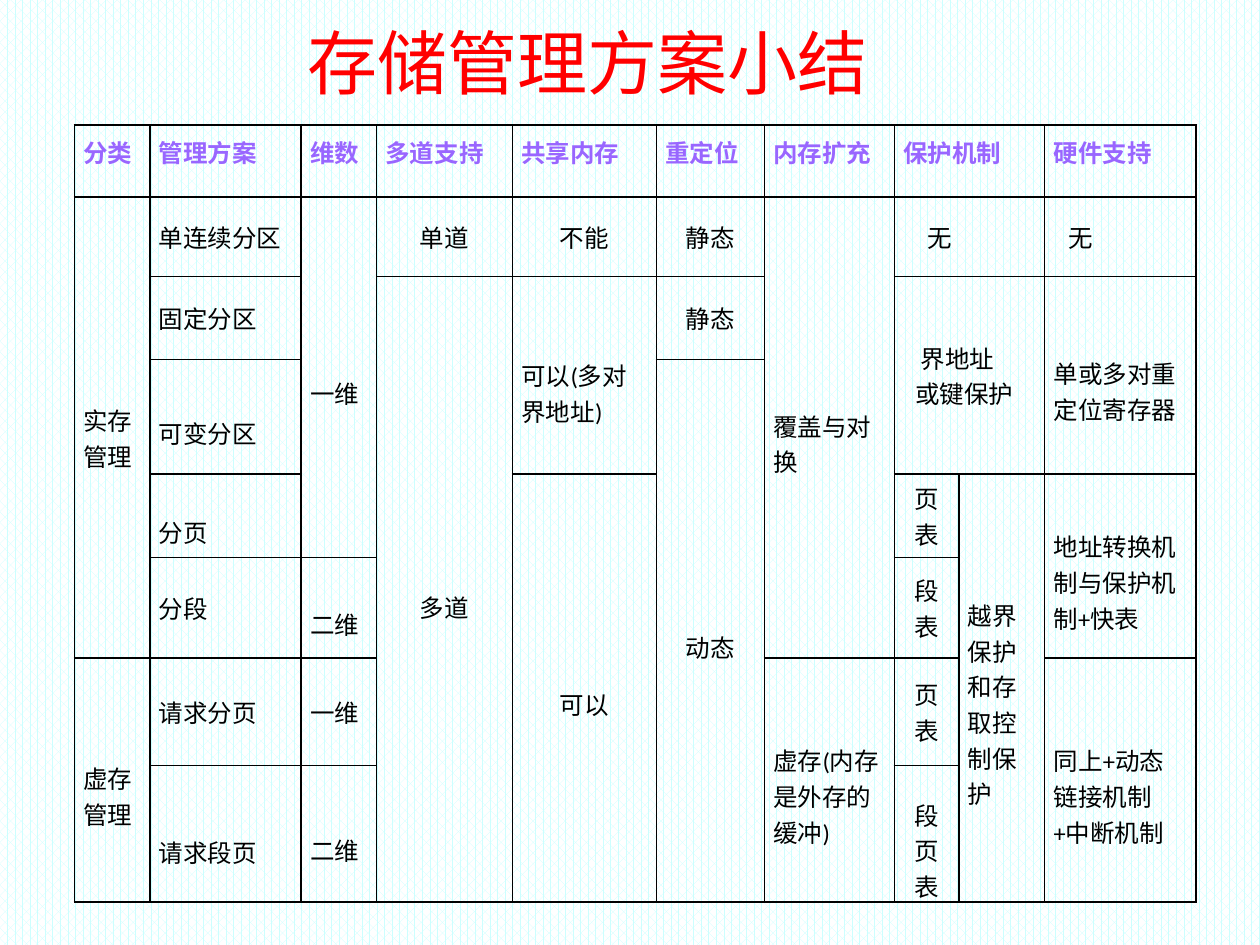
import pptx
import pptx.dml.color
import pptx.enum.dml
import pptx.enum.text
import pptx.oxml
import pptx.oxml.ns
import pptx.util
from lxml import etree

Cm, Pt = pptx.util.Cm, pptx.util.Pt
ALIGN = pptx.enum.text.PP_ALIGN
MIDDLE = pptx.enum.text.MSO_ANCHOR.MIDDLE

COLORS = {"title": "FF0000", "header": "9966FF", "body": "000000",
          "border": "000000", "dots": "CCFFFF", "paper": "FFFFFF"}
CJK_FONT = "Noto Sans CJK SC"
TITLE = "存储管理方案小结"

# Column widths and row heights in cm
COLUMNS = [1.52, 3.05, 1.52, 2.74, 2.9, 2.18, 2.62, 1.3, 1.73, 3.05]
ROWS = [1.45, 1.6, 1.68, 2.31, 1.68, 2.03, 2.16, 2.76]

# Header: column, columns spanned, text
HEADERS = [(0, 1, "分类"), (1, 1, "管理方案"), (2, 1, "维数"), (3, 1, "多道支持"),
           (4, 1, "共享内存"), (5, 1, "重定位"), (6, 1, "内存扩充"),
           (7, 2, "保护机制"), (9, 1, "硬件支持")]

# Downward shifts of cell text, as extra top margin in cm
SMALL, LINE, TALL = 0.4, 0.63, 0.71

# Body: row, column, rows spanned, columns spanned, lines, centred, top margin
BODY = [
    (1, 0, 5, 1, ["实存", "管理"], False, SMALL),
    (6, 0, 2, 1, ["虚存", "管理"], False, LINE),
    (1, 1, 1, 1, ["单连续分区"], False, 0),
    (2, 1, 1, 1, ["固定分区"], False, 0),
    (3, 1, 1, 1, ["可变分区"], False, LINE),
    (4, 1, 1, 1, ["分页"], False, LINE),
    (5, 1, 1, 1, ["分段"], False, 0),
    (6, 1, 1, 1, ["请求分页"], False, 0),
    (7, 1, 1, 1, ["请求段页"], False, TALL),
    (1, 2, 4, 1, ["一维"], False, LINE),
    (5, 2, 1, 1, ["二维"], False, LINE),
    (6, 2, 1, 1, ["一维"], False, 0),
    (7, 2, 1, 1, ["二维"], False, LINE),
    (1, 3, 1, 1, ["单道"], True, 0),
    (2, 3, 6, 1, ["多道"], True, TALL),
    (1, 4, 1, 1, ["不能"], True, 0),
    (2, 4, 2, 1, ["可以(多对界地址)"], False, TALL),
    (4, 4, 4, 1, ["可以"], True, LINE),
    (1, 5, 1, 1, ["静态"], True, 0),
    (2, 5, 1, 1, ["静态"], True, 0),
    (3, 5, 5, 1, ["动态"], True, LINE),
    (1, 6, 5, 1, ["覆盖与对换"], False, LINE),
    (6, 6, 2, 1, ["虚存(内存是外存的缓冲)"], False, LINE),
    (1, 7, 1, 2, ["无"], False, 0),
    (2, 7, 2, 2, ["界地址", "或键保护"], False, 0),
    (4, 7, 1, 1, ["页表"], True, 0),
    (5, 7, 1, 1, ["段表"], True, 0),
    (6, 7, 1, 1, ["页表"], True, 0),
    (7, 7, 1, 1, ["段页表"], True, LINE),
    (4, 8, 4, 1, ["越界保护和存取控制保护"], False, LINE),
    (1, 9, 1, 1, ["无"], False, 0),
    (2, 9, 2, 1, ["单或多对重定位寄存器"], False, LINE),
    (4, 9, 2, 1, ["地址转换机制与保护机制+快表"], False, LINE),
    (6, 9, 2, 1, ["同上+动态链接机制+中断机制"], False, LINE),
]

# First-line indents in cm, by cell
INDENTS = {(1, 7): [0.48], (1, 9): [0.3], (2, 7): [0.35, 0.24]}


def rgb(name):
    return pptx.dml.color.RGBColor.from_string(COLORS[name])


def add_run(paragraph, text, size, font, color, bold=False):
    run = paragraph.add_run()
    run.text = text
    run.font.size = Pt(size)
    run.font.name = font
    run.font.bold = bold
    run.font.color.rgb = rgb(color)
    east_asian = etree.SubElement(run.font._element, pptx.oxml.ns.qn("a:ea"))
    east_asian.set("typeface", CJK_FONT)


def draw_borders(cell):
    properties = cell._tc.get_or_add_tcPr()
    for side in ("lnL", "lnR", "lnT", "lnB"):
        properties.append(pptx.oxml.parse_xml(
            f'<a:{side} {pptx.oxml.ns.nsdecls("a")} w="{Pt(1)}"><a:solidFill>'
            f'<a:srgbClr val="{COLORS["border"]}"/></a:solidFill></a:{side}>'))
    cell.fill.background()


def open_cell(table, row, column, row_span, column_span, top=0):
    cell = table.cell(row, column)
    if row_span * column_span > 1:
        cell.merge(table.cell(row + row_span - 1, column + column_span - 1))
    cell.vertical_anchor = MIDDLE
    cell.margin_left = cell.margin_right = Cm(0.18)
    cell.margin_top, cell.margin_bottom = Cm(top), 0
    return cell.text_frame


def main():
    deck = pptx.Presentation()
    deck.slide_width, deck.slide_height = Cm(25.4), Cm(19.05)
    slide = deck.slides.add_slide(deck.slide_layouts[6])

    # Dotted background
    backdrop = slide.background.fill
    backdrop.patterned()
    backdrop.pattern = pptx.enum.dml.MSO_PATTERN.PERCENT_60
    backdrop.fore_color.rgb = rgb("dots")
    backdrop.back_color.rgb = rgb("paper")

    # Title, set a little left of the middle by its right margin
    title = slide.shapes.add_textbox(Cm(1.9), Cm(0.33), Cm(21.39), Cm(1.83)).text_frame
    title.word_wrap = True
    title.vertical_anchor = MIDDLE
    title.margin_right = Cm(1.75)
    title.paragraphs[0].alignment = ALIGN.CENTER
    add_run(title.paragraphs[0], TITLE, 40, CJK_FONT, "title")

    # Table grid
    table = slide.shapes.add_table(len(ROWS), len(COLUMNS), Cm(1.5), Cm(2.52),
                                   Cm(sum(COLUMNS)), Cm(sum(ROWS))).table
    table.first_row = table.horz_banding = False
    for column, width in zip(table.columns, COLUMNS):
        column.width = Cm(width)
    for row, height in zip(table.rows, ROWS):
        row.height = Cm(height)
    for cell in table.iter_cells():
        draw_borders(cell)

    # Header row
    for column, span, text in HEADERS:
        heading = open_cell(table, 0, column, 1, span).paragraphs[0]
        heading.line_spacing = Pt(10)
        add_run(heading, text, 14, "Times New Roman", "header", bold=True)

    # Body cells
    for row, column, row_span, column_span, lines, centred, top in BODY:
        frame = open_cell(table, row, column, row_span, column_span, top)
        indents = INDENTS.get((row, column), [0] * len(lines))
        for number, (text, indent) in enumerate(zip(lines, indents)):
            line = frame.add_paragraph() if number else frame.paragraphs[0]
            line.alignment = ALIGN.CENTER if centred else ALIGN.LEFT
            if indent:
                line._p.get_or_add_pPr().set("indent", str(Cm(indent)))
            add_run(line, text, 14, "Calibri", "body")

    deck.save("out.pptx")


if __name__ == "__main__":
    main()
